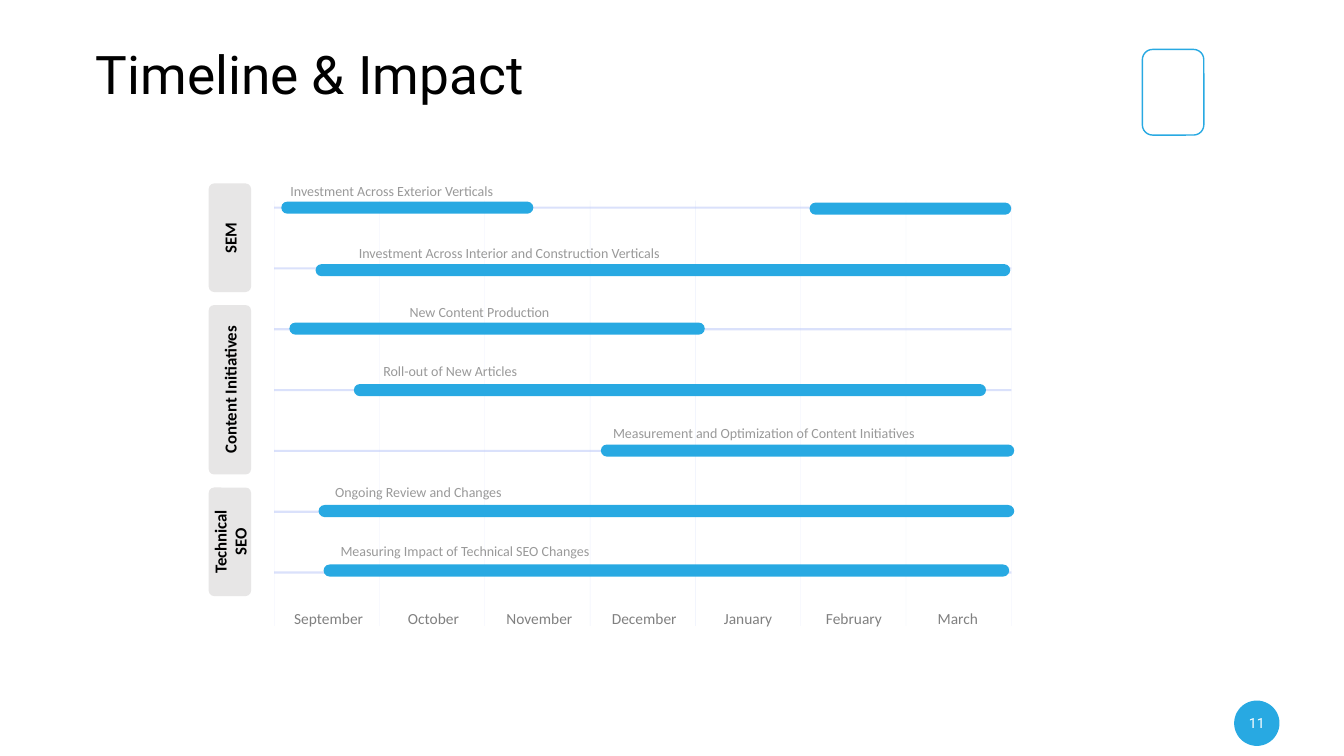
from pptx import Presentation
from pptx.dml.color import RGBColor
from pptx.enum.shapes import MSO_CONNECTOR, MSO_SHAPE
from pptx.enum.text import MSO_ANCHOR, MSO_AUTO_SIZE, PP_ALIGN
from pptx.oxml.ns import qn
from pptx.util import Pt
from lxml.etree import SubElement

PX = 9144  # EMU per px, 100 px to the inch

BLUE = RGBColor(0x28, 0xA9, 0xE2)
GRID = RGBColor(0xB7, 0xC4, 0xF8)
TAB = RGBColor(0xE7, 0xE6, 0xE6)
LABEL = RGBColor(0x99, 0x99, 0x99)
MONTH = RGBColor(0x80, 0x80, 0x80)
BLACK = RGBColor(0, 0, 0)
WHITE = RGBColor(0xFF, 0xFF, 0xFF)

ROWS = 7
ROW_PITCH = 181 / 3
BAR_HEIGHT = 12
GRID_LEFT, GRID_TOP, GRID_WIDTH, GRID_HEIGHT = 65, 23, 731, 422
FIRST_ROW = 30

# Group name and number of rows
GROUPS = [("SEM", 2), ("Content Initiatives", 3), ("Technical SEO", 2)]

# Month and the centre of its label, within the chart
MONTHS = [("September", 119), ("October", 223), ("November", 328), ("December", 432),
          ("January", 535), ("February", 640), ("March", 743)]

# Left, top and width of each bar, within the chart
BARS = [(72, 24, 250), (596, 25, 200), (106, 86, 689), (80, 144, 412), (144, 205, 627),
        (389, 265, 410), (109, 325, 690), (114, 384, 680)]

# Task name with left, top and width of its label, within the chart
TASKS = [
    ("Investment Across Exterior Verticals", 69, 0, 225),
    ("Investment Across Interior and Construction Verticals", 136, 61, 324),
    ("New Content Production", 186, 120, 165),
    ("Roll-out of New Articles", 162, 178, 155),
    ("Measurement and Optimization of Content Initiatives", 388, 240, 325),
    ("Ongoing Review and Changes", 114, 299, 188),
    ("Measuring Impact of Technical SEO Changes", 118, 357, 272),
]


def emu(*lengths):
    return [round(length * PX) for length in lengths]


def write(frame, text, size, color, font="Calibri", bold=False, align=PP_ALIGN.CENTER):
    paragraph = frame.paragraphs[0]
    paragraph.alignment = align
    run = paragraph.add_run()
    run.text = text
    run.font.size = Pt(size)
    run.font.name = font
    run.font.bold = bold
    run.font.color.rgb = color


def add_label(slide, box, text, size, color, font="Calibri"):
    frame = slide.shapes.add_textbox(*emu(*box)).text_frame
    frame.word_wrap = False
    frame.vertical_anchor = MSO_ANCHOR.MIDDLE
    write(frame, text, size, color, font)


def add_block(slide, kind, box, fill=None, line=None, adjustment=None):
    shape = slide.shapes.add_shape(kind, *emu(*box))
    shape.shadow.inherit = False
    if fill is None:
        shape.fill.background()
    else:
        shape.fill.solid()
        shape.fill.fore_color.rgb = fill
    if line is None:
        shape.line.fill.background()
    else:
        shape.line.color.rgb = line
        shape.line.width = Pt(1)
    if adjustment is not None:
        shape.adjustments[0] = adjustment
    return shape


def add_line(slide, ends, width, opacity):
    connector = slide.shapes.add_connector(MSO_CONNECTOR.STRAIGHT, *emu(*ends))
    connector.line.color.rgb = GRID
    connector.line.width = Pt(width)
    properties = connector.element.spPr
    for color in properties.iter(qn("a:srgbClr")):
        SubElement(color, qn("a:alpha")).set("val", str(opacity * 1000))
    SubElement(properties, qn("a:effectLst"))


def add_title(slide, box):
    title = slide.shapes.title
    title.left, title.top, title.width, title.height = emu(*box)
    frame = title.text_frame
    frame.auto_size = MSO_AUTO_SIZE.NONE
    frame.vertical_anchor = MSO_ANCHOR.MIDDLE
    write(frame, "Timeline & Impact", 38, BLACK, "Roboto", align=PP_ALIGN.LEFT)


def add_grid(slide, left, top):
    right, bottom = left + GRID_WIDTH, top + GRID_HEIGHT
    for index in range(len(MONTHS) + 1):
        x = left + index * GRID_WIDTH / len(MONTHS)
        add_line(slide, (x, top, x, bottom), 0.25, 25)
    for index in range(ROWS):
        y = top + FIRST_ROW - GRID_TOP + index * ROW_PITCH
        add_line(slide, (right, y, left, y), 1.5, 50)


def add_groups(slide, left, top):
    for name, rows in GROUPS:
        box = (left, top, 42, rows * ROW_PITCH - 13)
        tab = add_block(slide, MSO_SHAPE.ROUNDED_RECTANGLE, box, TAB, adjustment=0.128)
        frame = tab.text_frame
        frame.word_wrap = True
        frame.vertical_anchor = MSO_ANCHOR.MIDDLE
        tab.element.txBody.find(qn("a:bodyPr")).set("vert", "vert270")
        write(frame, name, 12, BLACK, bold=True)
        top += rows * ROW_PITCH


def add_timeline(slide, box):
    left, top, width, height = box
    add_grid(slide, left + GRID_LEFT, top + GRID_TOP)
    add_groups(slide, left, top + 6)
    for x, y, length in BARS:
        add_block(slide, MSO_SHAPE.ROUNDED_RECTANGLE, (left + x, top + y, length, BAR_HEIGHT),
                  BLUE, adjustment=0.5)
    for name, x, y, length in TASKS:
        add_label(slide, (left + x, top + y, length, 27), name, 10, LABEL)
    for name, centre in MONTHS:
        add_label(slide, (left + centre - 45, top + height - 29, 90, 29), name, 11, MONTH)


def add_page_number(slide, box):
    left, top, width, height = box
    add_block(slide, MSO_SHAPE.OVAL, box, BLUE)
    add_label(slide, (left - 7, top + 10, width + 14, 25), "11", 10, WHITE, "Roboto")


def main():
    presentation = Presentation()
    presentation.slide_width, presentation.slide_height = emu(1333, 750)
    slide = presentation.slides.add_slide(presentation.slide_layouts[5])  # title only

    add_page_number(slide, (1224, 695, 45, 45))
    add_timeline(slide, (207, 176, 799, 452))
    add_title(slide, (85, 36, 1162, 74))
    # Empty frame in the top right corner
    add_block(slide, MSO_SHAPE.ROUNDED_RECTANGLE, (1133, 49, 61, 85), line=BLUE)

    presentation.save("out.pptx")


if __name__ == "__main__":
    main()
